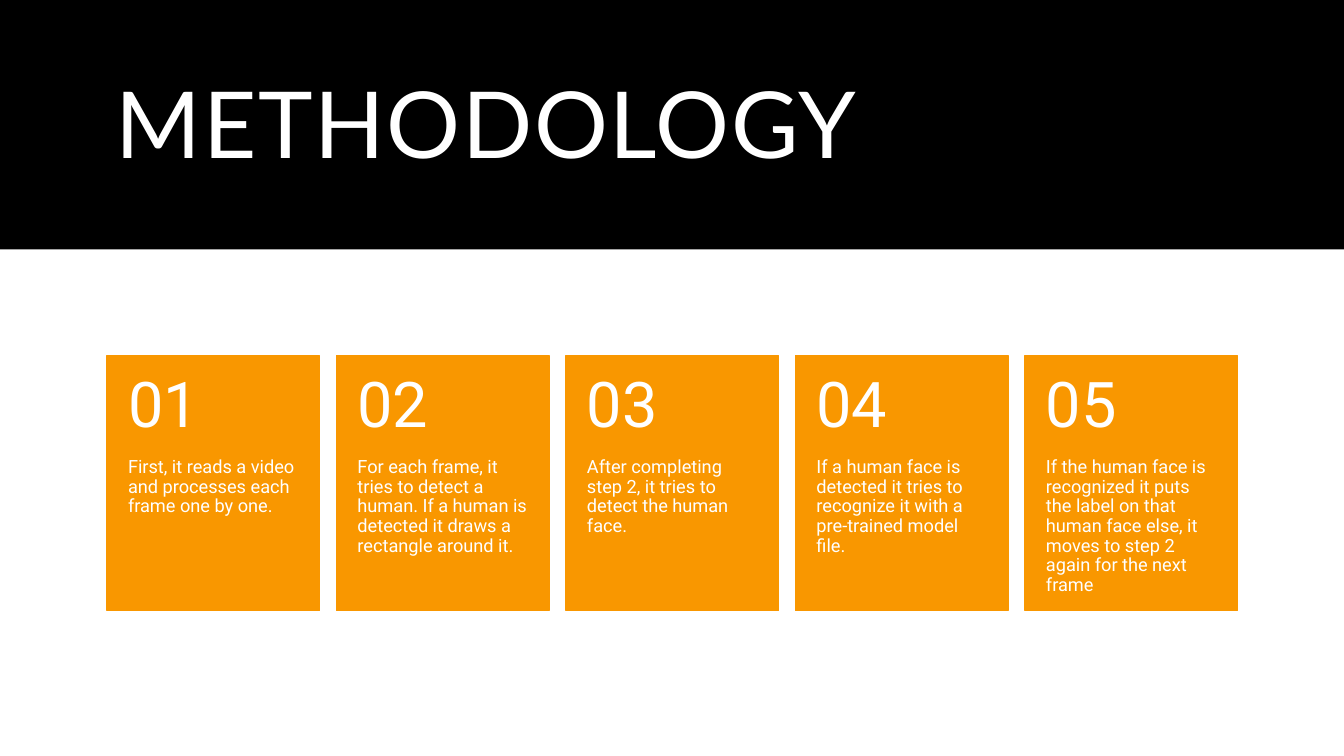
from pptx import Presentation
from pptx import util as u
from pptx.dml import color
from pptx.enum import shapes, text

WIDE, HIGH = 13.33, 7.5
LEFT, TOP = 1.06, 3.53
PITCH, CARD = 2.276, 2.11
HEAD, BODY = 1.01, 1.52
BLACK, WHITE, AMBER = "000000", "FFFFFF", "F99700"

STEPS = [
    "First, it reads a video and processes each frame one by one.",
    "For each frame, it tries to detect a human. If a human is detected it draws a rectangle around it.",
    "After completing step 2, it tries to detect the human face.",
    "If a human face is detected it tries to recognize it with a pre-trained model file.",
    "If the human face is recognized it puts the label on that human face else, it moves to step 2 again for the next frame",
]


def paint(target, tone):
    if hasattr(target, "solid"):
        target.solid()
        target = target.fore_color
    target.rgb = color.RGBColor.from_string(tone)


def inches(*sizes):
    return [u.Inches(size) for size in sizes]


def add_block(home, box, tone, line=True):
    block = home.add_shape(shapes.MSO_SHAPE.RECTANGLE, *inches(*box))
    block.shadow.inherit = False
    paint(block.fill, tone)
    if line:
        paint(block.line.fill, tone)
        block.line.width = u.Pt(1)
    else:
        block.line.fill.background()
    return block


def write(frame, words, font, size, anchor):
    frame.word_wrap = True
    frame.auto_size = text.MSO_AUTO_SIZE.NONE
    frame.vertical_anchor = anchor
    para = frame.paragraphs[0]
    para.alignment = text.PP_ALIGN.LEFT
    para.line_spacing = 0.9
    run = para.add_run()
    run.text = words
    run.font.name = font
    run.font.size = u.Pt(size)
    paint(run.font.color, WHITE)
    return run


def add_label(home, box, words, size, anchor, above, below):
    frame = home.add_textbox(*inches(*box)).text_frame
    frame.margin_left = frame.margin_right = u.Inches(0.21)
    frame.margin_top, frame.margin_bottom = inches(above, below)
    write(frame, words, "Roboto", size, anchor)


def add_card(slide, index, words):
    home = slide.shapes.add_group_shape().shapes
    left = LEFT + index * PITCH
    add_block(home, (left, TOP, CARD, HEAD + BODY), AMBER)
    add_label(home, (left, TOP + HEAD, CARD, BODY), words, 13,
              text.MSO_ANCHOR.TOP, 0, 0.36)
    add_label(home, (left, TOP, CARD, HEAD), f"{index + 1:02}", 45,
              text.MSO_ANCHOR.MIDDLE, 0.18, 0.18)


def add_title(slide, words):
    band = add_block(slide.shapes, (0, 0, WIDE, HIGH * 0.33), BLACK, line=False)
    title = slide.shapes.title
    band._element.addnext(title._element)
    title.left, title.top, title.width, title.height = inches(1.05, 0.35, 11.23, 1.86)
    run = write(title.text_frame, words, "Lato", 66, text.MSO_ANCHOR.MIDDLE)
    run.font._element.set("spc", "120")


def main():
    deck = Presentation()
    deck.slide_width, deck.slide_height = inches(WIDE, HIGH)
    slide = deck.slides.add_slide(deck.slide_layouts[5])
    paint(slide.background.fill, WHITE)
    add_title(slide, "METHODOLOGY")
    for index, words in enumerate(STEPS):
        add_card(slide, index, words)
    deck.save("out.pptx")


if __name__ == "__main__":
    main()
